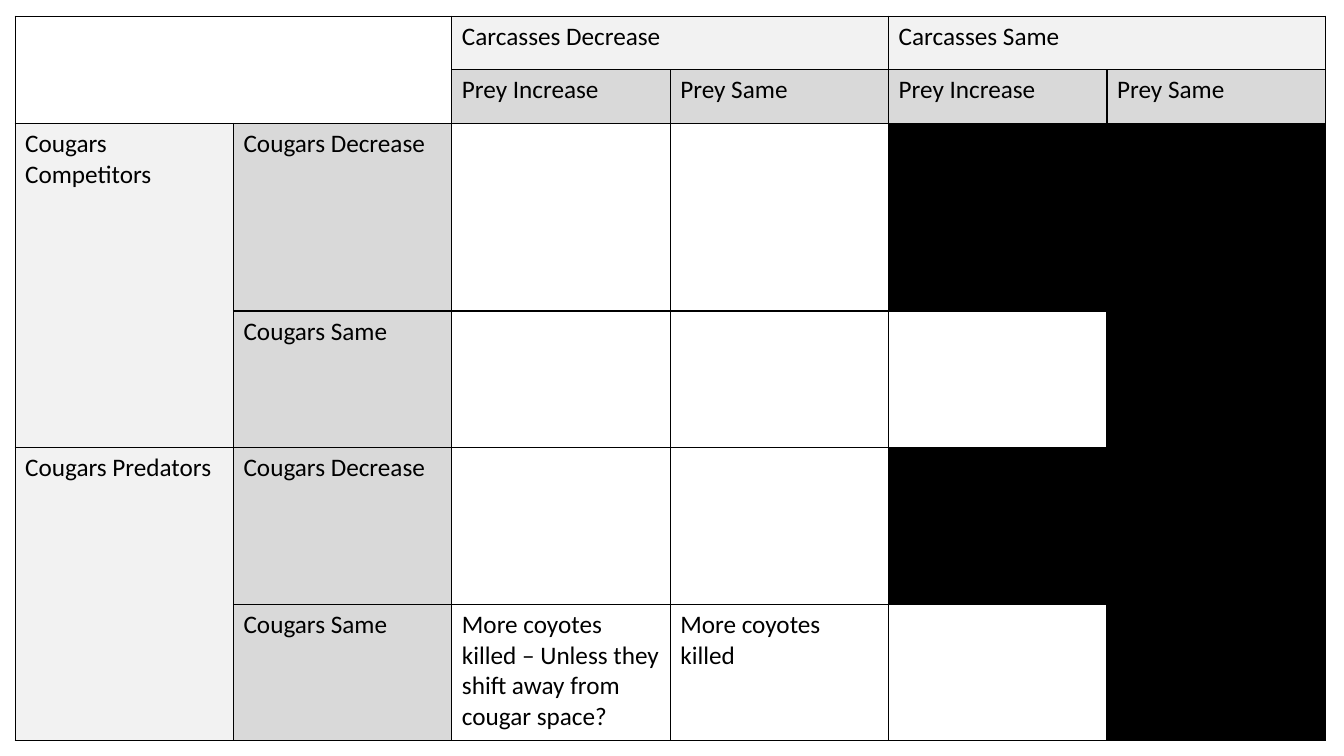
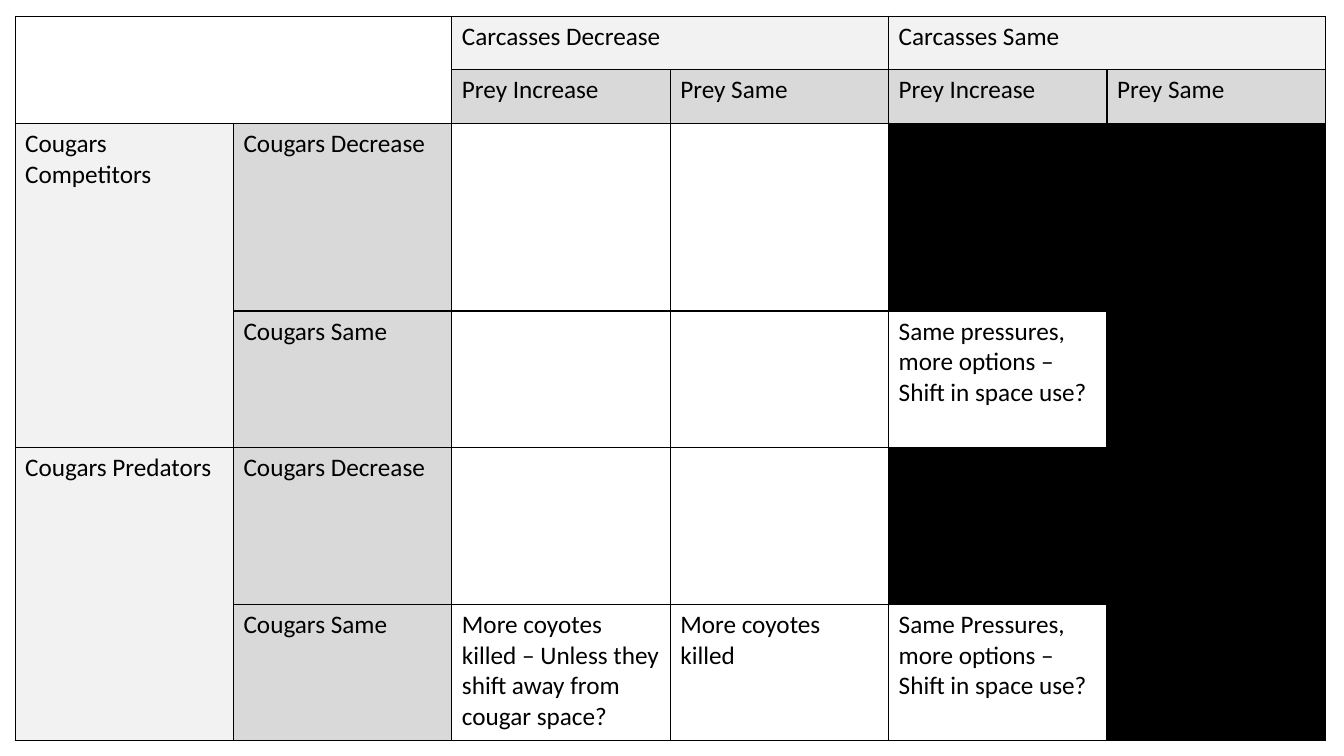
from lxml import etree
from pptx import Presentation
from pptx.dml.color import RGBColor
from pptx.oxml.ns import qn
from pptx.util import Pt

SLIDE_SIZE = (960, 540)
MATRIX_BOX = (10.8, 11.5, 936, 517.6)
ROW_SHARES = (38.4, 38.4, 133.9, 97.3, 112.3, 97.3)
COLUMN_COUNT = 6
FONT, FONT_SIZE = "Calibri", 18
BLACK, LIGHT_GRAY, MID_GRAY = "000000", "F2F2F2", "D9D9D9"
BORDER_SIDES = ("a:lnL", "a:lnR", "a:lnT", "a:lnB")

CARCASS_TRENDS = ("Carcasses Decrease", "Carcasses Same")
PREY_TRENDS = ("Prey Increase", "Prey Same")
COUGAR_ROLES = ("Cougars Competitors", "Cougars Predators")
COUGAR_TRENDS = ("Cougars Decrease", "Cougars Same")
EXCLUDED = ((2, 4), (2, 5), (3, 5), (4, 4), (4, 5), (5, 5))

KILLED_OUTCOMES = {
    (5, 2): "More coyotes killed – Unless they shift away from cougar space?",
    (5, 3): "More coyotes killed",
}
SHIFT_OUTCOMES = {
    (3, 4): "Same pressures, more options – Shift in space use?",
    (5, 4): "Same Pressures, more options – Shift in space use?",
}
SLIDE_OUTCOMES = (KILLED_OUTCOMES, {**KILLED_OUTCOMES, **SHIFT_OUTCOMES})


def color(hex_value):
    return RGBColor.from_string(hex_value)


def add_borders(cell):
    properties = cell._tc.get_or_add_tcPr()
    for side in BORDER_SIDES:
        border = etree.SubElement(properties, qn(side), w=str(Pt(1)))
        fill = etree.SubElement(border, qn("a:solidFill"))
        etree.SubElement(fill, qn("a:srgbClr"), val=BLACK)


def style_cell(cell, fill):
    add_borders(cell)
    if fill:
        cell.fill.solid()
        cell.fill.fore_color.rgb = color(fill)
    else:
        cell.fill.background()


def write_cell(cell, text):
    cell.text = text
    for run in cell.text_frame.paragraphs[0].runs:
        run.font.name = FONT
        run.font.size = Pt(FONT_SIZE)
        run.font.color.rgb = color(BLACK)


def header_texts():
    texts = {}
    for group in range(2):
        start = 2 + 2 * group
        texts[0, start] = CARCASS_TRENDS[group]
        texts[start, 0] = COUGAR_ROLES[group]
        for offset in range(2):
            texts[1, start + offset] = PREY_TRENDS[offset]
            texts[start + offset, 1] = COUGAR_TRENDS[offset]
    return texts


def cell_fill(row, column):
    if row < 2 and column < 2:
        return None
    if row == 0 or column == 0:
        return LIGHT_GRAY
    if row == 1 or column == 1:
        return MID_GRAY
    return BLACK if (row, column) in EXCLUDED else None


def merge_headers(table):
    table.cell(0, 0).merge(table.cell(1, 1))
    for start in (2, 4):
        table.cell(0, start).merge(table.cell(0, start + 1))
        table.cell(start, 0).merge(table.cell(start + 1, 0))


def add_matrix(slide, box, outcomes):
    left, top, width, height = box
    table = slide.shapes.add_table(
        len(ROW_SHARES), COLUMN_COUNT, Pt(left), Pt(top), Pt(width), Pt(height)
    ).table
    table.first_row = False
    table.horz_banding = False
    for column in table.columns:
        column.width = Pt(width / COLUMN_COUNT)
    for row, share in zip(table.rows, ROW_SHARES):
        row.height = Pt(height * share / sum(ROW_SHARES))
    merge_headers(table)
    for row in range(len(ROW_SHARES)):
        for column in range(COLUMN_COUNT):
            style_cell(table.cell(row, column), cell_fill(row, column))
    for (row, column), text in {**header_texts(), **outcomes}.items():
        write_cell(table.cell(row, column), text)


def main():
    presentation = Presentation()
    presentation.slide_width, presentation.slide_height = map(Pt, SLIDE_SIZE)
    blank = presentation.slide_layouts[6]
    for outcomes in SLIDE_OUTCOMES:
        add_matrix(presentation.slides.add_slide(blank), MATRIX_BOX, outcomes)
    presentation.save("out.pptx")


if __name__ == "__main__":
    main()
